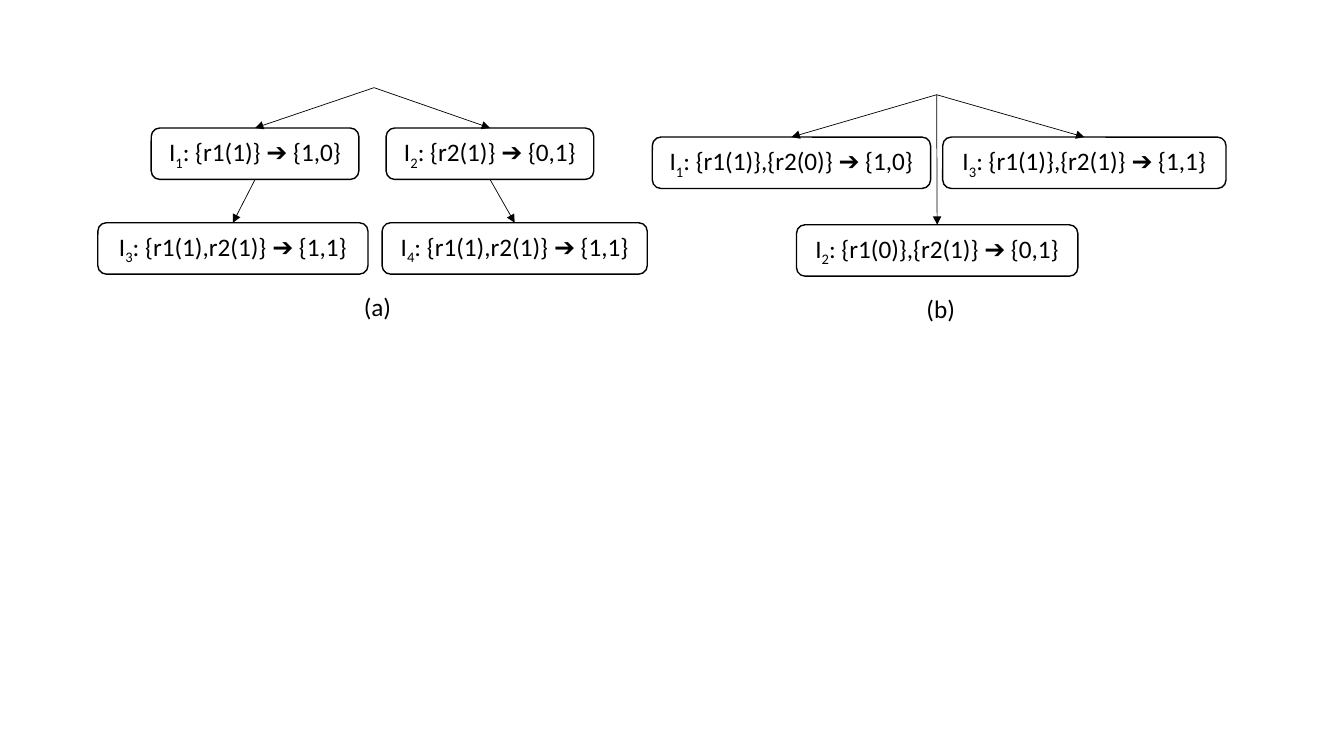
from lxml.etree import SubElement
from pptx import Presentation
from pptx.dml.color import RGBColor
from pptx.enum.shapes import MSO_CONNECTOR, MSO_SHAPE
from pptx.enum.text import MSO_ANCHOR, PP_ALIGN
from pptx.oxml.ns import qn
from pptx.util import Inches, Pt

BLACK = "000000"
NODE_HEIGHT = 0.51
TOP_SITE, BOTTOM_SITE = 0, 2


def color(hex_string):
    return RGBColor.from_string(hex_string)


def style_text(paragraph):
    paragraph.font.name = "Calibri"
    paragraph.font.size = Pt(18)
    paragraph.font.color.rgb = color(BLACK)


def add_node(page, left, top, width, index, rule):
    """Add a rounded box reading I, a subscript index, then the rule."""
    box = page.shapes.add_shape(
        MSO_SHAPE.ROUNDED_RECTANGLE,
        Inches(left), Inches(top), Inches(width), Inches(NODE_HEIGHT))
    box.shadow.inherit = False
    box.fill.background()
    box.line.color.rgb = color(BLACK)
    box.line.width = Pt(1)
    box.text_frame.vertical_anchor = MSO_ANCHOR.MIDDLE
    para = box.text_frame.paragraphs[0]
    para.alignment = PP_ALIGN.CENTER
    style_text(para)
    for text, baseline in (("I", 0), (index, -25000), (": " + rule, 0)):
        span = para.add_run()
        span.text = text
        if baseline:
            span._r.get_or_add_rPr().set("baseline", str(baseline))
    return box


def add_arrow(page, child, root=None, parent=None):
    """Point to the top of child from a root point or the bottom of parent."""
    x, y = root or (0, 0)
    arrow = page.shapes.add_connector(
        MSO_CONNECTOR.STRAIGHT, Inches(x), Inches(y), Inches(x), Inches(y))
    if parent is not None:
        arrow.begin_connect(parent, BOTTOM_SITE)
    arrow.end_connect(child, TOP_SITE)
    arrow.line.color.rgb = color(BLACK)
    arrow.line.width = Pt(0.5)
    SubElement(arrow.line._get_or_add_ln(), qn("a:tailEnd"), type="triangle")
    SubElement(arrow._element.spPr, qn("a:effectLst"))


def add_caption(page, left, top, text):
    box = page.shapes.add_textbox(
        Inches(left), Inches(top), Inches(0.68), Inches(0.4))
    box.text_frame.word_wrap = True
    para = box.text_frame.paragraphs[0]
    para.text = text
    style_text(para)


def add_two_level_tree(page):
    root = (3.71, 0.87)
    branches = (
        ((1.5, 1.27, 2.06, "1", "{r1(1)} ➔ {1,0}"),
         (0.97, 2.21, 2.68, "3", "{r1(1),r2(1)} ➔ {1,1}")),
        ((3.83, 1.27, 2.06, "2", "{r2(1)} ➔ {0,1}"),
         (3.79, 2.21, 2.63, "4", "{r1(1),r2(1)} ➔ {1,1}")),
    )
    for upper, lower in branches:
        parent = add_node(page, *upper)
        child = add_node(page, *lower)
        add_arrow(page, parent, root=root)
        add_arrow(page, child, parent=parent)
    add_caption(page, 3.51, 2.84, "(a)")


def add_flat_tree(page):
    root = (9.29, 0.94)
    leaves = (
        (6.47, 1.36, 2.76, "1", "{r1(1)},{r2(0)} ➔ {1,0}"),
        (7.9, 2.23, 2.79, "2", "{r1(0)},{r2(1)} ➔ {0,1}"),
        (9.35, 1.36, 2.81, "3", "{r1(1)},{r2(1)} ➔ {1,1}"),
    )
    for leaf in leaves:
        add_arrow(page, add_node(page, *leaf), root=root)
    add_caption(page, 9.09, 2.86, "(b)")


def main():
    deck = Presentation()
    deck.slide_width, deck.slide_height = Inches(13.33), Inches(7.5)
    blank_layout = deck.slide_layouts[6]
    page = deck.slides.add_slide(blank_layout)
    add_two_level_tree(page)
    add_flat_tree(page)
    deck.save("out.pptx")


if __name__ == "__main__":
    main()
